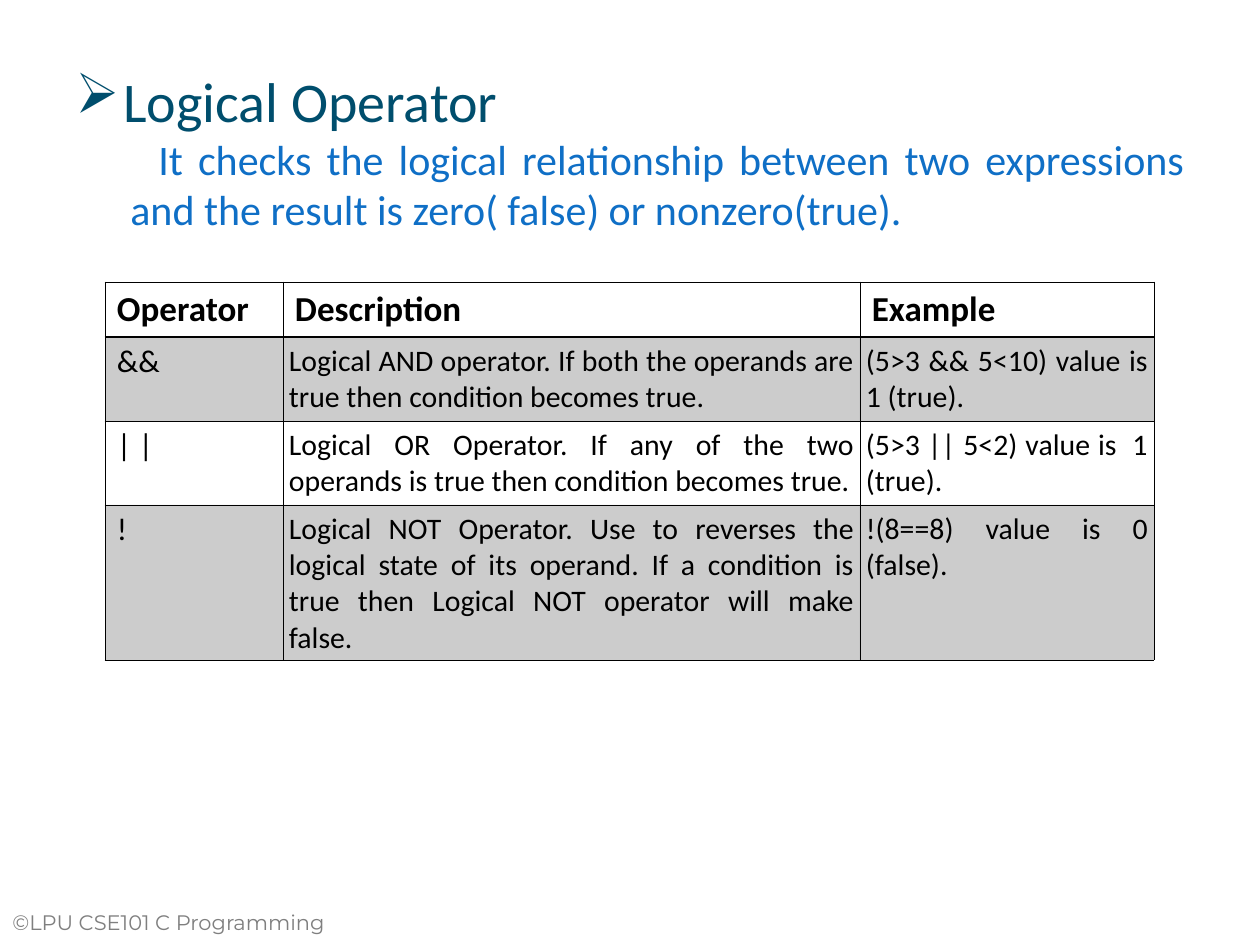
"""Build a slide that explains the logical operators of C."""
import dataclasses

import lxml.etree
import pptx
import pptx.dml.color
import pptx.enum.text
import pptx.oxml.ns
import pptx.util

SCALE = 914400 / 126
JUST = pptx.enum.text.PP_ALIGN.JUSTIFY
LEFT = pptx.enum.text.PP_ALIGN.LEFT


@dataclasses.dataclass(frozen=True)
class Theme:
    """Colours, fonts and type sizes."""
    teal: str = "004E6D"
    blue: str = "0F6FC6"
    grey: str = "7F7F7F"
    black: str = "000000"
    main: str = "Calibri"
    foot: str = "Montserrat"
    title: int = 32
    lead: int = 24
    head: int = 20
    sign: int = 18
    cell: int = 17
    note: int = 12
    thin: float = 0.45
    thick: float = 0.96
    tint: int = 20


THEME = Theme()
COLS = (178, 577, 294)
ROWS = (55, 84, 84, 155)
CELLS = (
    ("Operator", "Description", "Example"),
    ("&&",
     "Logical AND operator. If both the operands are true then condition becomes true.",
     "(5>3 && 5<10) value is 1 (true)."),
    ("| |",
     "Logical OR Operator. If any of the two operands is true then condition becomes true.",
     "(5>3 || 5<2) value is  1 (true)."),
    ("!",
     "Logical NOT Operator. Use to reverses the logical state of its operand. "
     "If a condition is true then Logical NOT operator will make false.",
     "!(8==8) value is 0 (false)."),
)


def px(num):
    """Turn px into EMU."""
    return pptx.util.Emu(round(num * SCALE))


def rgb(code):
    """Make a colour from its hex code."""
    return pptx.dml.color.RGBColor.from_string(code)


def sub(node, tag, **keys):
    """Add a drawing element below a node."""
    return lxml.etree.SubElement(node, pptx.oxml.ns.qn(tag), keys)


def style(para, face, size, color, bold=False, align=JUST):
    """Set the font and alignment of a paragraph."""
    para.alignment = align
    para.font.name = face
    para.font.size = pptx.util.Pt(size)
    para.font.bold = bold
    para.font.color.rgb = rgb(color)


def indent(para, margin, first):
    """Set the left margin and first line indent of a paragraph."""
    props = para._p.get_or_add_pPr()
    props.set("marL", str(px(margin)))
    props.set("indent", str(px(first)))
    return props


def add_box(slide, *area):
    """Add a wrapping text box and return its frame."""
    frame = slide.shapes.add_textbox(*map(px, area)).text_frame
    frame.word_wrap = True
    return frame


def add_body(slide):
    """Add the bulleted title and its lead sentence."""
    frame = add_box(slide, 63, 60, 1134, 190)
    title = frame.paragraphs[0]
    title.text = "Logical Operator"
    props = indent(title, 48, -48)
    sub(sub(props, "a:buClr"), "a:srgbClr", val=THEME.teal)
    sub(props, "a:buChar", char="➢")
    style(title, THEME.main, THEME.title, THEME.teal)
    lead = frame.add_paragraph()
    lead.text = ("It checks the logical relationship between two expressions "
                 "and the result is zero( false) or nonzero(true).")
    indent(lead, 55, 28)
    style(lead, THEME.main, THEME.lead, THEME.blue)


def add_foot(slide):
    """Add the copyright line."""
    para = add_box(slide, 0, 903, 378, 53).paragraphs[0]
    para.text = "©LPU CSE101 C Programming"
    style(para, THEME.foot, THEME.note, THEME.grey, align=LEFT)


def paint(cell, row):
    """Tint odd rows and draw the borders of a cell."""
    props = cell._tc.get_or_add_tcPr()
    if row % 2:
        cell.fill.solid()
        cell.fill.fore_color.rgb = rgb(THEME.black)
        tone = props.find(".//" + pptx.oxml.ns.qn("a:srgbClr"))
        sub(tone, "a:alpha", val=str(THEME.tint * 1000))
    else:
        cell.fill.background()
    heavy = {0: "B", 1: "T"}.get(row)
    for spot, side in enumerate("LRTB"):
        width = THEME.thick if side == heavy else THEME.thin
        line = sub(props, f"a:ln{side}", w=str(pptx.util.Pt(width)))
        sub(sub(line, "a:solidFill"), "a:srgbClr", val=THEME.black)
        props.insert(spot, line)


def fill_cell(cell, text, row, col):
    """Write and style one cell."""
    wide = row == 0 or col == 0
    cell.margin_left = cell.margin_right = px(12 if wide else 6)
    cell.margin_top = cell.margin_bottom = px(6)
    cell.text = text
    size = THEME.head if row == 0 else THEME.sign if col == 0 else THEME.cell
    style(cell.text_frame.paragraphs[0], THEME.main, size, THEME.black, row == 0)
    paint(cell, row)


def add_grid(slide):
    """Add the table of operators."""
    area = map(px, (105, 282, sum(COLS), sum(ROWS)))
    table = slide.shapes.add_table(len(ROWS), len(COLS), *area).table
    table.first_row = table.horz_banding = False
    for col, width in zip(table.columns, COLS):
        col.width = px(width)
    for row, height in zip(table.rows, ROWS):
        row.height = px(height)
    for row, texts in enumerate(CELLS):
        for col, text in enumerate(texts):
            fill_cell(table.cell(row, col), text, row, col)


def main():
    """Build and save the deck."""
    deck = pptx.Presentation()
    deck.slide_width, deck.slide_height = px(1260), px(945)
    slide = deck.slides.add_slide(deck.slide_layouts[6])
    add_foot(slide)
    add_body(slide)
    add_grid(slide)
    deck.save("out.pptx")


if __name__ == "__main__":
    main()
